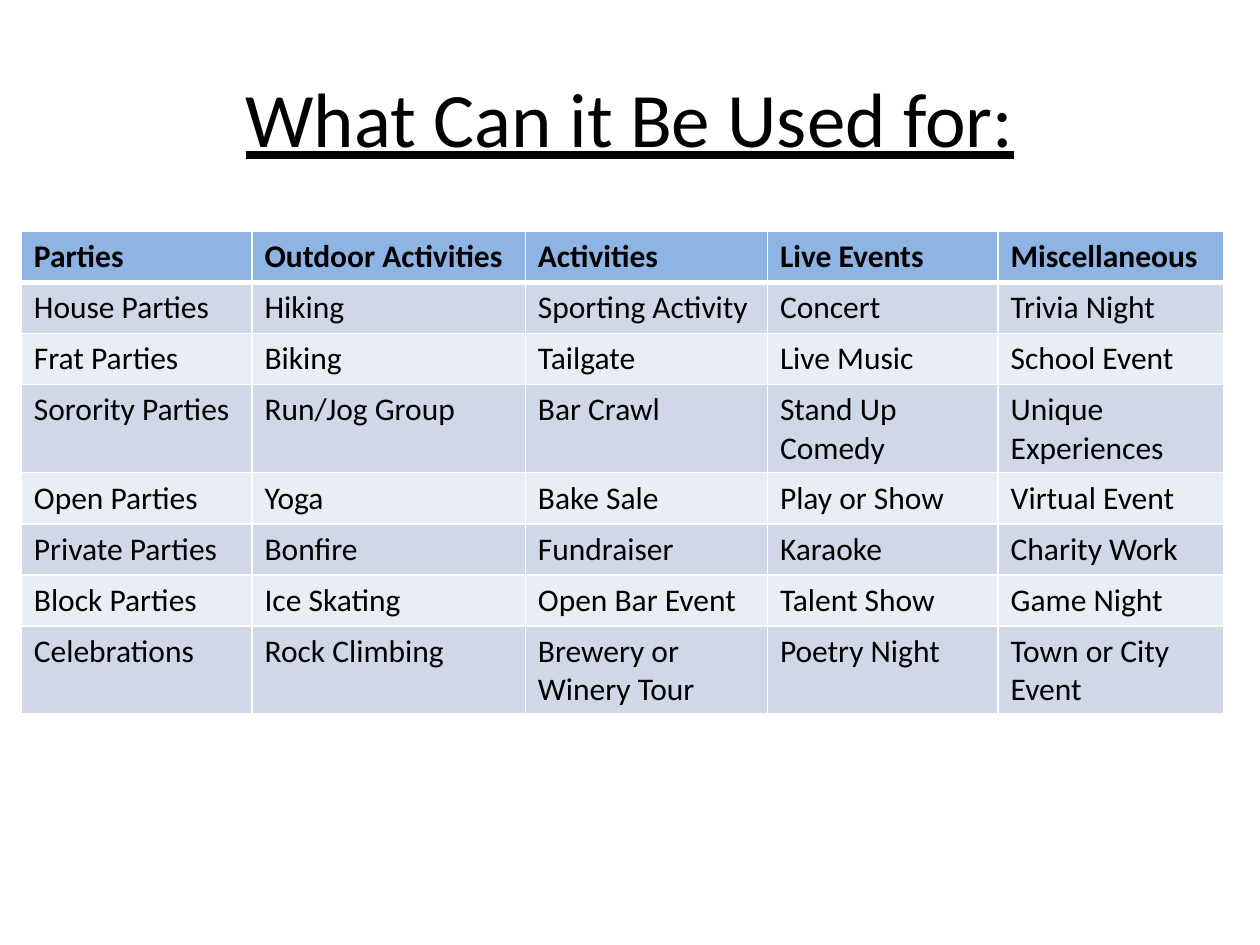
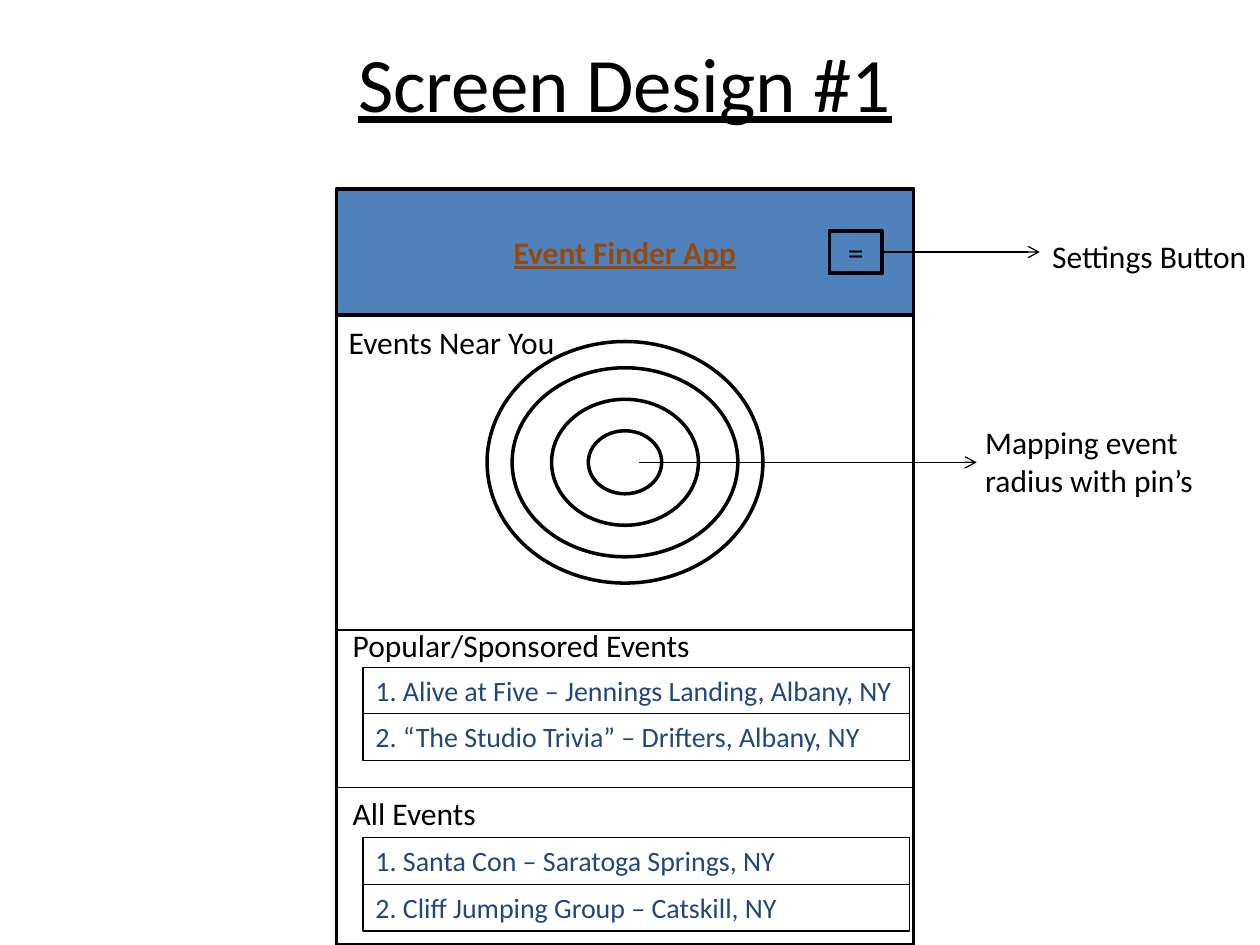
"""Builds two slides: a table of event types and an annotated app screen design."""
from dataclasses import dataclass

from lxml.etree import SubElement
from pptx import Presentation
from pptx.dml.color import RGBColor as Color
from pptx.enum.shapes import MSO_CONNECTOR as Connector, MSO_SHAPE as Shape
from pptx.enum.text import MSO_ANCHOR as Anchor, PP_ALIGN as Align
from pptx.oxml import parse_xml
from pptx.oxml.ns import nsdecls, qn
from pptx.util import Cm, Pt


@dataclass(frozen=True)
class Theme:
    font: str = "Calibri"
    ink: str = "000000"
    paper: str = "FFFFFF"
    header: str = "8EB4E3"
    bands: tuple = ("E9EDF4", "D0D8E8")
    app_bar: str = "4F81BD"
    app_name: str = "984807"
    event: str = "1F497D"
    title_size: int = 44
    body_size: int = 18
    event_size: int = 16
    heavy: float = 2
    thin: float = 0.75


theme = Theme()


def write(frame, text, size=theme.body_size, color=theme.ink, align=Align.LEFT,
          anchor=Anchor.TOP, bold=False, underline=False, wrap=True):
    frame.text = text
    frame.word_wrap = wrap
    frame.vertical_anchor = anchor
    para = frame.paragraphs[0]
    para.alignment = align
    font = para.runs[0].font
    font.name, font.size, font.bold, font.underline = theme.font, Pt(size), bold, underline
    font.color.rgb = Color.from_string(color)


def draw(page, kind, left, top, width, height, fill=None):
    shape = page.shapes.add_shape(kind, Cm(left), Cm(top), Cm(width), Cm(height))
    shape.shadow.inherit = False
    if fill:
        shape.fill.solid()
        shape.fill.fore_color.rgb = Color.from_string(fill)
    else:
        shape.fill.background()
    shape.line.color.rgb = Color.from_string(theme.ink)
    shape.line.width = Pt(theme.heavy)
    return shape


deck = Presentation()
deck.slide_width, deck.slide_height = Cm(25.4), Cm(19.05)
pages = []
for title, left, top in [("What Can it Be Used for:", 1.27, 0.76), ("Screen Design #1", 1.17, 0.05)]:
    page = deck.slides.add_slide(deck.slide_layouts[6])
    box = page.shapes.add_textbox(Cm(left), Cm(top), Cm(22.86), Cm(3.18))
    write(box.text_frame, title, theme.title_size, align=Align.CENTER,
          anchor=Anchor.MIDDLE, underline=True)
    pages.append(page)
uses_page, screen_page = pages

uses = [
    ["Parties", "Outdoor Activities", "Activities", "Live Events", "Miscellaneous"],
    ["House Parties", "Hiking", "Sporting Activity", "Concert", "Trivia Night"],
    ["Frat Parties", "Biking", "Tailgate", "Live Music", "School Event"],
    ["Sorority Parties", "Run/Jog Group", "Bar Crawl", "Stand Up Comedy", "Unique Experiences"],
    ["Open Parties", "Yoga", "Bake Sale", "Play or Show", "Virtual Event"],
    ["Private Parties", "Bonfire", "Fundraiser", "Karaoke", "Charity Work"],
    ["Block Parties", "Ice Skating", "Open Bar Event", "Talent Show", "Game Night"],
    ["Celebrations", "Rock Climbing", "Brewery or Winery Tour", "Poetry Night", "Town or City Event"],
]
column_widths = [4.65, 5.51, 4.88, 4.65, 4.55]
table_frame = uses_page.shapes.add_table(len(uses), len(column_widths), Cm(0.43), Cm(4.66),
                                         Cm(sum(column_widths)), Cm(9.73))
table = table_frame.table
for column, width in zip(table.columns, column_widths):
    column.width = Cm(width)
for row_index, names in enumerate(uses):
    table.rows[row_index].height = Cm(1.03)
    is_header = row_index == 0
    edges = {"lnL": 1, "lnR": 1, "lnT": 3 if row_index == 1 else 1, "lnB": 3 if is_header else 1}
    for column_index, name in enumerate(names):
        cell = table.cell(row_index, column_index)
        write(cell.text_frame, name, bold=is_header)
        properties = cell._tc.get_or_add_tcPr()
        for edge, points in edges.items():
            properties.append(parse_xml(
                f'<a:{edge} {nsdecls("a")} w="{Pt(points)}"><a:solidFill>'
                f'<a:srgbClr val="{theme.paper}"/></a:solidFill></a:{edge}>'))
        cell.fill.solid()
        cell.fill.fore_color.rgb = Color.from_string(
            theme.header if is_header else theme.bands[row_index % 2])
table_frame.height = Cm(9.73)

screen_left, screen_width, screen_right = 6.78, 11.64, 18.42
app_bar = draw(screen_page, Shape.RECTANGLE, screen_left, 3.81, screen_width, 2.54, theme.app_bar)
write(app_bar.text_frame, "Event Finder App", color=theme.app_name, align=Align.CENTER,
      anchor=Anchor.MIDDLE, bold=True, underline=True)
draw(screen_page, Shape.RECTANGLE, screen_left, 6.35, screen_width, 12.7, theme.paper)
settings = draw(screen_page, Shape.RECTANGLE, 16.72, 4.66, 1.06, 0.85, theme.app_bar)
write(settings.text_frame, "=", align=Align.CENTER, anchor=Anchor.MIDDLE)
span = settings.text_frame.paragraphs[0].runs[0]
span._r.get_or_add_rPr().insert(0, parse_xml(
    f'<a:ln {nsdecls("a")} w="{Pt(theme.thin)}"><a:solidFill>'
    f'<a:srgbClr val="{theme.ink}"/></a:solidFill></a:ln>'))

radar_x, radar_y = 12.6, 9.32
for width, height in [(1.48, 1.27), (2.96, 2.54), (4.55, 3.81), (5.56, 4.87)]:
    draw(screen_page, Shape.OVAL, radar_x - width / 2, radar_y - height / 2, width, height)

for start, end, height, has_arrow in [
    (screen_left, screen_right, 12.7, False),
    (screen_left, screen_right, 15.88, False),
    (17.78, 20.96, 5.08, True),
    (12.88, 19.69, radar_y, True),
]:
    line = screen_page.shapes.add_connector(Connector.STRAIGHT, Cm(start), Cm(height),
                                            Cm(end), Cm(height))
    line.line.color.rgb = Color.from_string(theme.ink)
    line.line.width = Pt(theme.thin)
    if has_arrow:
        SubElement(line.line._get_or_add_ln(), qn("a:tailEnd"), type="arrow")
    SubElement(line._element.spPr, qn("a:effectLst"))

for label, left, top, width, height, wrap in [
    ("Settings Button", 20.96, 4.66, 4.5, 1.03, False),
    ("Mapping event radius with pin’s", 19.61, 8.4, 5.77, 1.8, True),
    ("Events Near You", 6.78, 6.38, 4.7, 1.03, False),
    ("Popular/Sponsored Events", 6.86, 12.5, 7.39, 1.03, False),
    ("All Events", 6.86, 15.88, 3.02, 1.03, False),
]:
    box = screen_page.shapes.add_textbox(Cm(left), Cm(top), Cm(width), Cm(height))
    write(box.text_frame, label, wrap=wrap)

event_height = 0.94
for list_top, events in [
    (13.45, ["Alive at Five – Jennings Landing, Albany, NY",
             "“The Studio Trivia” – Drifters, Albany, NY"]),
    (16.89, ["Santa Con – Saratoga Springs, NY", "Cliff Jumping Group – Catskill, NY"]),
]:
    for index, event in enumerate(events):
        box = screen_page.shapes.add_textbox(Cm(7.32), Cm(list_top + index * event_height),
                                             Cm(11.02), Cm(event_height))
        box.line.color.rgb = Color.from_string(theme.ink)
        box.line.width = Pt(theme.thin)
        write(box.text_frame, f"{index + 1}. {event}", theme.event_size, theme.event)

deck.save("out.pptx")
